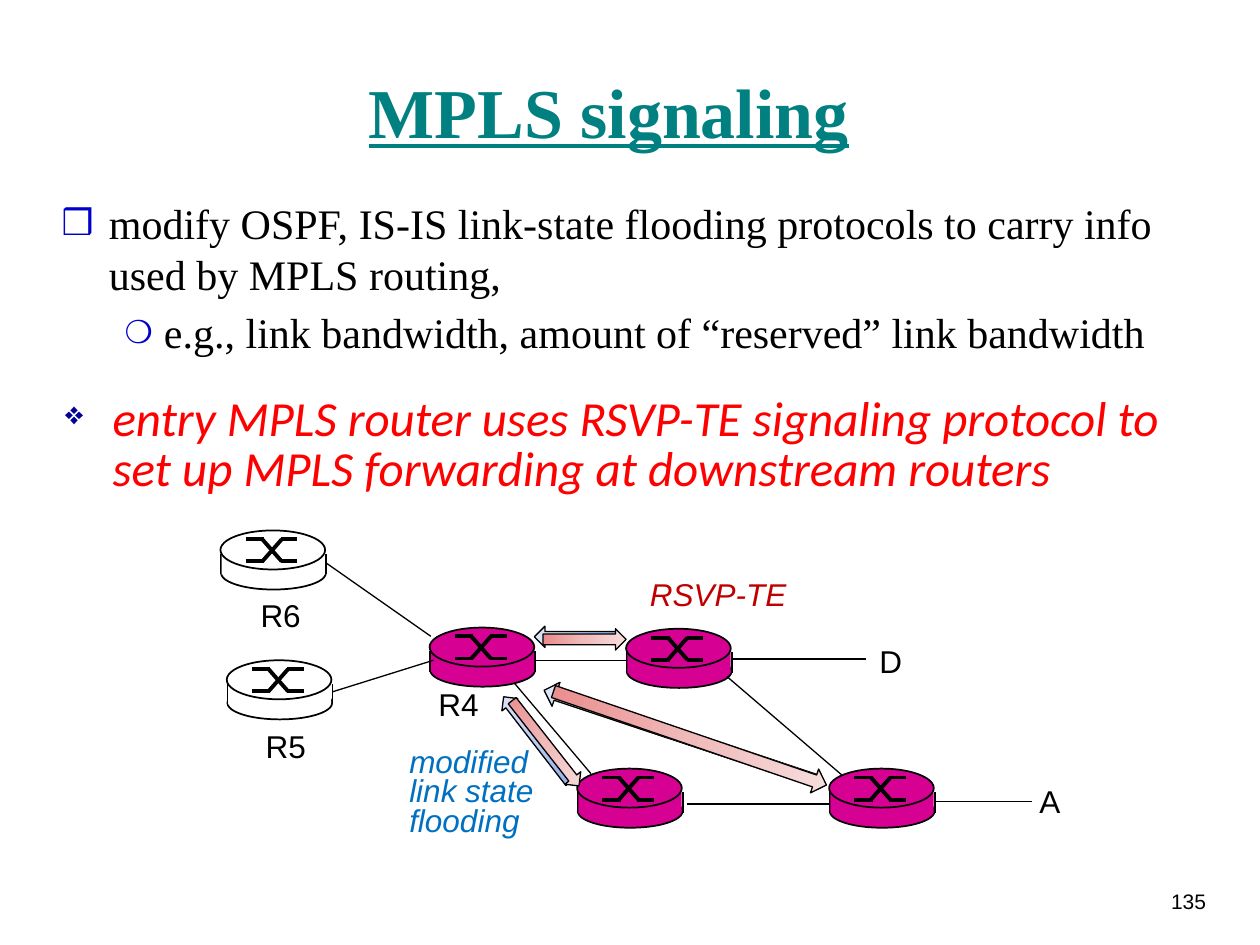
import copy

import pptx
import pptx.dml.color
import pptx.enum.shapes
import pptx.enum.text
import pptx.oxml.ns
import pptx.util
from lxml import etree

Pt = pptx.util.Pt
qn = pptx.oxml.ns.qn
SHAPES = pptx.enum.shapes.MSO_SHAPE
ALIGN = pptx.enum.text.PP_ALIGN
AUTO_SIZE = pptx.enum.text.MSO_AUTO_SIZE

COLOURS = {
    "black": "000000",
    "white": "FFFFFF",
    "title": "008080",
    "mpls": "D60093",
    "bullet": "0000CC",
    "dark_bullet": "000099",
    "highlight": "FF0000",
    "flooding": "0070C0",
    "rsvp": "C00000",
}
FLOODING_GRADIENT = ("8CADEA", "BACCF0", "DEE6F7")
RSVP_GRADIENT = ("EA8C8C", "F0BABA", "F7DEDE")


def rgb(name):
    return pptx.dml.color.RGBColor.from_string(COLOURS[name])


def place(shape, left, top, width, height):
    shape.left, shape.top, shape.width, shape.height = map(Pt, (left, top, width, height))


def format_runs(text_frame, font, size, colour, bold=None, italic=None, underline=None):
    for paragraph in text_frame.paragraphs:
        for run in paragraph.runs:
            run.font.name = font
            run.font.size = Pt(size)
            run.font.color.rgb = rgb(colour)
            run.font.bold = bold
            run.font.italic = italic
            run.font.underline = underline


def add_bullet(paragraph, character, colour, percent, left, hanging):
    properties = paragraph._p.get_or_add_pPr()
    properties.set("marL", str(Pt(left)))
    properties.set("indent", str(-Pt(hanging)))
    bullet_colour = etree.SubElement(properties, qn("a:buClr"))
    etree.SubElement(bullet_colour, qn("a:srgbClr"), val=COLOURS[colour])
    etree.SubElement(properties, qn("a:buSzPct"), val=str(percent * 1000))
    etree.SubElement(properties, qn("a:buChar"), char=character)


def add_title(slide):
    title = slide.shapes.title
    place(title, 41.8, 18, 612, 90)
    title.text_frame.text = "MPLS signaling"
    title.text_frame.auto_size = AUTO_SIZE.NONE
    title.text_frame.vertical_anchor = pptx.enum.text.MSO_ANCHOR.MIDDLE
    title.text_frame.paragraphs[0].alignment = ALIGN.CENTER
    format_runs(title.text_frame, "Times New Roman", 40, "title", bold=True, underline=True)


def add_body(slide):
    body = slide.placeholders[1]
    place(body, 28, 109.4, 669.6, 109.4)
    frame = body.text_frame
    frame.auto_size = AUTO_SIZE.NONE
    frame.text = ("modify OSPF, IS-IS link-state flooding protocols to carry info "
                  "used by MPLS routing,")
    main_point = frame.paragraphs[0]
    add_bullet(main_point, "❒", "bullet", 85, 27, 27)
    main_point.space_before = Pt(0)
    example = frame.add_paragraph()
    example.text = "e.g., link bandwidth, amount of “reserved” link bandwidth"
    example.level = 1
    add_bullet(example, "❍", "bullet", 75, 58.5, 22.5)
    example.space_before = Pt(4.8)
    format_runs(frame, "Times New Roman", 24, "black")


def add_text(shapes, text, box, size=18, colour="black", font="Arial", italic=None,
             wrap=False, spacing=None, alignment=None):
    text_box = shapes.add_textbox(*map(Pt, box))
    frame = text_box.text_frame
    frame.text = text
    frame.word_wrap = wrap
    frame.auto_size = AUTO_SIZE.NONE if wrap else AUTO_SIZE.SHAPE_TO_FIT_TEXT
    for paragraph in frame.paragraphs:
        paragraph.line_spacing = spacing
        paragraph.alignment = alignment
    format_runs(frame, font, size, colour, italic=italic)
    return text_box


def add_line(shapes, start_x, start_y, end_x, end_y, width=0.75):
    line = shapes.add_connector(pptx.enum.shapes.MSO_CONNECTOR.STRAIGHT,
                                Pt(start_x), Pt(start_y), Pt(end_x), Pt(end_y))
    line.line.color.rgb = rgb("black")
    line.line.width = Pt(width)
    etree.SubElement(line._element.spPr, qn("a:effectLst"))


def add_filled_shape(shapes, kind, box, colour, outlined=True):
    shape = shapes.add_shape(kind, *map(Pt, box))
    shape.shadow.inherit = False
    shape.fill.solid()
    shape.fill.fore_color.rgb = rgb(colour)
    if outlined:
        shape.line.color.rgb = rgb("black")
        shape.line.width = Pt(1)
    else:
        shape.line.fill.background()


def add_router(slide, left, top, colour):
    shapes = slide.shapes.add_group_shape().shapes
    add_filled_shape(shapes, SHAPES.OVAL, (left + 0.4, top + 15.1, 59.8, 18.7), colour)
    for side in (left + 0.4, left + 60.4):
        add_line(shapes, side, top + 13.5, side, top + 25.2, 1)
    add_filled_shape(shapes, SHAPES.RECTANGLE, (left + 0.7, top + 13.7, 59, 11.5), colour, False)
    add_filled_shape(shapes, SHAPES.OVAL, (left, top, 59.8, 22.3), colour)
    upper, lower = top + 5.1, top + 17.7
    for start, end in ((upper, lower), (lower, upper)):
        add_line(shapes, left + 14.4, start, left + 24.8, start, 2.25)
        add_line(shapes, left + 23.9, start, left + 35, end, 2.25)
        add_line(shapes, left + 34.5, end, left + 44, end, 2.25)


def add_arrow(shapes, box, rotation, gradient):
    arrow = shapes.add_shape(SHAPES.RIGHT_ARROW, *map(Pt, box))
    arrow.shadow.inherit = False
    arrow.rotation = rotation
    arrow.line.color.rgb = rgb("black")
    arrow.line.width = Pt(0.75)
    arrow.fill.gradient()
    arrow.fill.gradient_angle = 0
    stop_list = arrow._element.spPr.find(qn("a:gradFill")).find(qn("a:gsLst"))
    stop_list.insert(1, copy.deepcopy(stop_list[0]))
    for stop, position, colour in zip(arrow.fill.gradient_stops, (0, 0.5, 1), gradient):
        stop.position = position
        stop.color.rgb = pptx.dml.color.RGBColor.from_string(colour)


def add_signals(slide, arrows, gradient, label, label_box, colour):
    shapes = slide.shapes.add_group_shape().shapes
    for box, rotation in arrows:
        add_arrow(shapes, box, rotation, gradient)
    add_text(shapes, label, label_box, colour=colour, italic=True, spacing=Pt(17))


def add_network(slide):
    for left, top, colour in ((473.8, 439.2, "mpls"), (329.8, 439.2, "mpls"),
                              (357.8, 359.3, "mpls"), (245.5, 358.6, "mpls"),
                              (126, 303.1, "white"), (129.6, 377.3, "white")):
        add_router(slide, left, top, colour)
    for link in ((186.5, 321.8, 246.2, 363.6), (190.1, 395.3, 247.7, 377.3),
                 (305.3, 377.3, 357.8, 377.3), (293.8, 390.2, 337.7, 442.1),
                 (392.4, 459.4, 474.5, 459.4), (415.4, 386.6, 481, 442.8),
                 (534.2, 457.9, 589.7, 457.9), (418.3, 376.6, 494.6, 376.6)):
        add_line(slide.shapes, *link)
    for name, left, top, width in (("D", 495.4, 363.6, 27.4), ("R4", 243.4, 388.1, 37.4),
                                   ("R5", 144.7, 411.8, 37.4), ("A", 586.8, 443.5, 26.6),
                                   ("R6", 141.8, 337, 37.4)):
        add_text(slide.shapes, name, (left, top, width, 28.8))


def main():
    presentation = pptx.Presentation()
    presentation.slide_width, presentation.slide_height = Pt(720), Pt(540)
    slide = presentation.slides.add_slide(presentation.slide_layouts[1])
    add_title(slide)
    add_body(slide)
    add_text(slide.shapes, "135", (643, 504, 53.3, 36), size=12, wrap=True,
             alignment=ALIGN.RIGHT)
    add_network(slide)
    entry_point = add_text(
        slide.shapes,
        "entry MPLS router uses RSVP-TE signaling protocol to "
        "set up MPLS forwarding at downstream routers",
        (30.2, 223.2, 656.6, 67), size=28, colour="highlight", font="Calibri",
        italic=True, wrap=True, spacing=0.85)
    add_bullet(entry_point.text_frame.paragraphs[0], "❖", "dark_bullet", 65, 27, 27)
    add_signals(slide, (((305.3, 357.8, 47.5, 12.2), 180),
                        ((275.8, 416.9, 61.9, 11.5), 232.3),
                        ((306.7, 413.3, 164.9, 14.4), 198.4)),
                FLOODING_GRADIENT, "modified\nlink state\nflooding",
                (226.8, 424.8, 91.4, 59), "flooding")
    add_signals(slide, (((310.3, 359.3, 47.5, 12.2), 0),
                        ((280.8, 419, 61.9, 11.5), 51.9),
                        ((311.8, 414.7, 164.9, 14.4), 18.9)),
                RSVP_GRADIENT, "RSVP-TE", (364.3, 329.8, 93.6, 24.5), "rsvp")
    presentation.save("out.pptx")


if __name__ == "__main__":
    main()
